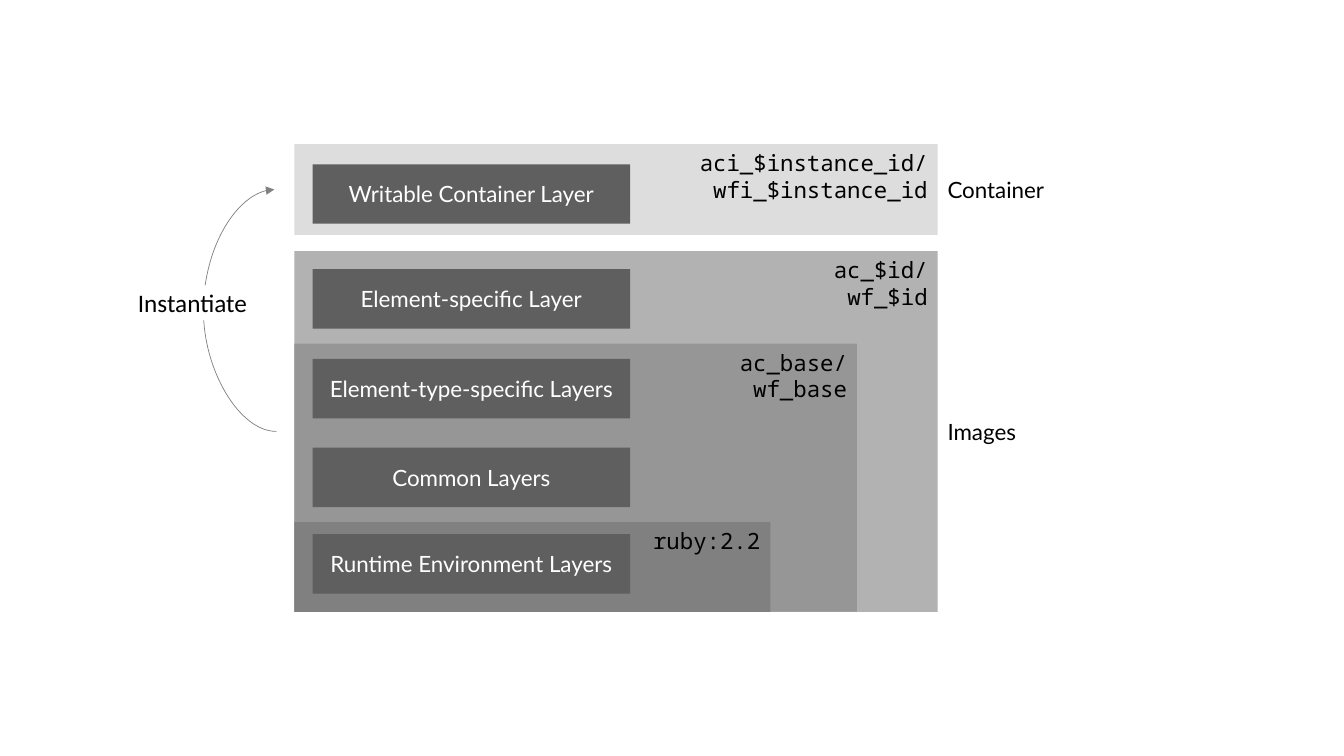
from dataclasses import dataclass
from lxml import etree
from pptx import Presentation
from pptx.dml.color import RGBColor as Rgb
from pptx.enum.shapes import MSO_CONNECTOR as Conn, MSO_SHAPE as Shape
from pptx.enum.text import MSO_ANCHOR as Anchor, PP_ALIGN as Align
from pptx.oxml.ns import qn
from pptx.util import Inches, Pt


@dataclass(frozen=True)
class Theme:
    black: str = "000000"
    white: str = "FFFFFF"
    layer: str = "5F5F5F"
    arrow: str = "808080"
    sans: str = "Lato"
    mono: str = "Noto Sans Mono"
    step: str = "Calibri"
    size: int = 16
    big: int = 18


THEME = Theme()

# Content: bands are (names, fill, top, bottom, width), back to front
BANDS = [
    (["aci_$instance_id/", "wfi_$instance_id"], "DDDDDD", 1.43, 2.33, 6.38),
    (["ac_$id/", "wf_$id"], "B2B2B2", 2.49, 6.07, 6.38),
    (["ac_base/", "wf_base"], "969696", 3.41, 6.07, 5.58),
    (["ruby:2.2"], "808080", 5.18, 6.07, 4.72),
]
LAYERS = [
    ("Writable Container Layer", 1.63),
    ("Element-specific Layer", 2.67),
    ("Element-type-specific Layers", 3.56),
    ("Common Layers", 4.44),
    ("Runtime Environment Layers", 5.3),
]
LABELS = ["Container", "Images"]  # beside the first two bands
STEP = "Instantiate"

# Layout
LEFT, INSET = 2.92, 0.18
LAYER_W, LAYER_H = 3.15, 0.59
LABEL_W = 1.36
ARROW = (2.72, 1.88, 2.74, 4.28)
BULGE = 0.72

prs = Presentation()
prs.slide_width, prs.slide_height = Inches(13.33), Inches(7.5)
slide = prs.slides.add_slide(prs.slide_layouts[6])


def write(box, lines, font, color, align=Align.LEFT, anchor=Anchor.MIDDLE,
          size=THEME.size):
    frame = box.text_frame
    frame.word_wrap = True
    frame.vertical_anchor = anchor
    frame.text = "\n".join(lines)
    for para in frame.paragraphs:
        para.alignment = align
        para.font.name, para.font.size = font, Pt(size)
        para.font.color.rgb = Rgb.from_string(color)


def block(x, y, w, h, fill):
    box = slide.shapes.add_shape(Shape.RECTANGLE, *map(Inches, (x, y, w, h)))
    box.shadow.inherit = False
    box.fill.solid()
    box.fill.fore_color.rgb = Rgb.from_string(fill)
    box.line.fill.background()
    return box


# Nested bands
for names, fill, top, low, width in BANDS:
    band = block(LEFT, top, width, low - top, fill)
    write(band, names, THEME.mono, THEME.black, Align.RIGHT, Anchor.TOP)

# Layers
for name, top in LAYERS:
    layer = block(LEFT + INSET, top, LAYER_W, LAYER_H, THEME.layer)
    write(layer, [name], THEME.sans, THEME.white, Align.CENTER)

# Side labels
for label, (_, _, top, low, width) in zip(LABELS, BANDS):
    side = slide.shapes.add_textbox(
        *map(Inches, (LEFT + width, top, LABEL_W, low - top)))
    write(side, [label], THEME.sans, THEME.black)

# Curved arrow, turned to run upwards from the images to the container
curve = slide.shapes.add_connector(Conn.CURVE, *map(Inches, ARROW))
curve.line.color.rgb = Rgb.from_string(THEME.arrow)
curve.line.width = Pt(0.5)
props = curve.element.spPr
props.find(qn("a:xfrm")).set("rot", "10800000")
geom = props.find(qn("a:prstGeom"))
guides = geom.find(qn("a:avLst"))
if guides is None:
    guides = etree.SubElement(geom, qn("a:avLst"))
bend = round(BULGE / (ARROW[2] - ARROW[0]) * 100000)
etree.SubElement(guides, qn("a:gd"), name="adj1", fmla=f"val {bend}")
etree.SubElement(props.find(qn("a:ln")), qn("a:tailEnd"), type="triangle")
etree.SubElement(props, qn("a:effectLst"))

# Arrow caption
step = block(1.27, 2.83, 1.56, 0.35, THEME.white)
write(step, [STEP], THEME.step, THEME.black, size=THEME.big)

prs.save("out.pptx")
